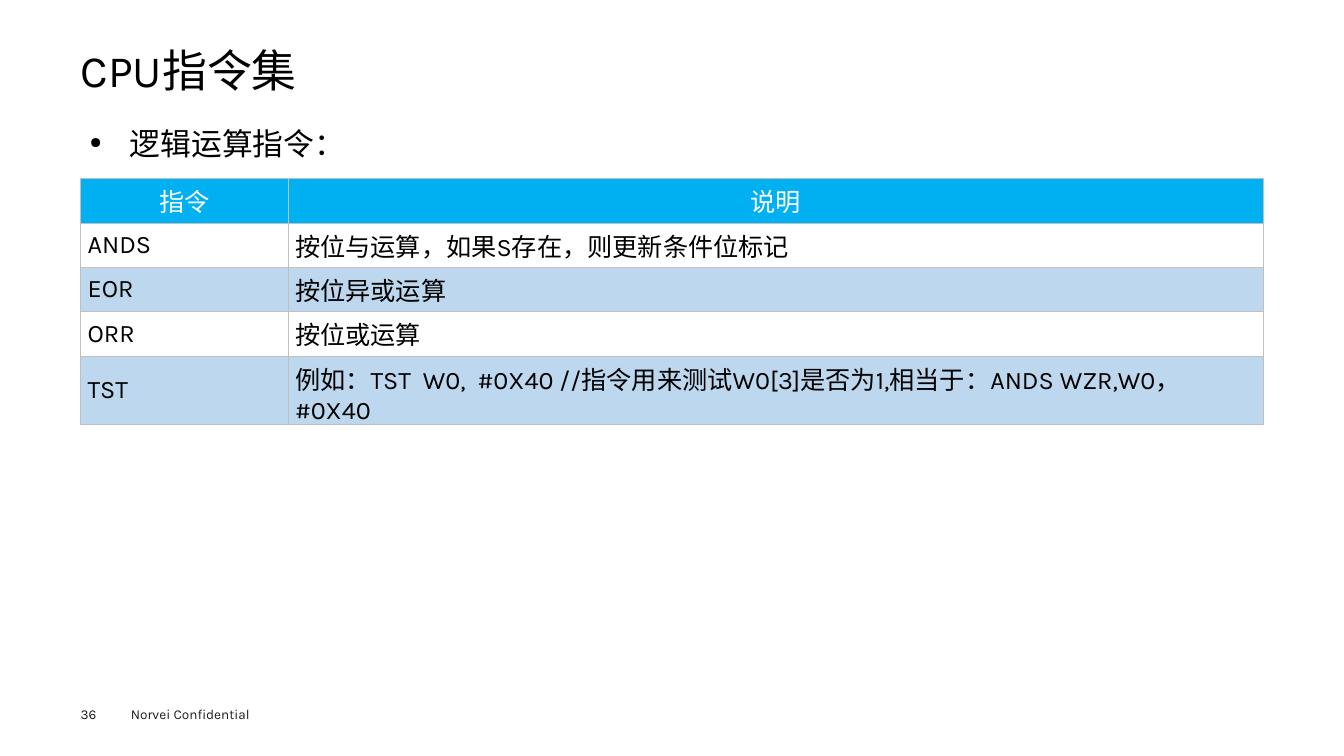
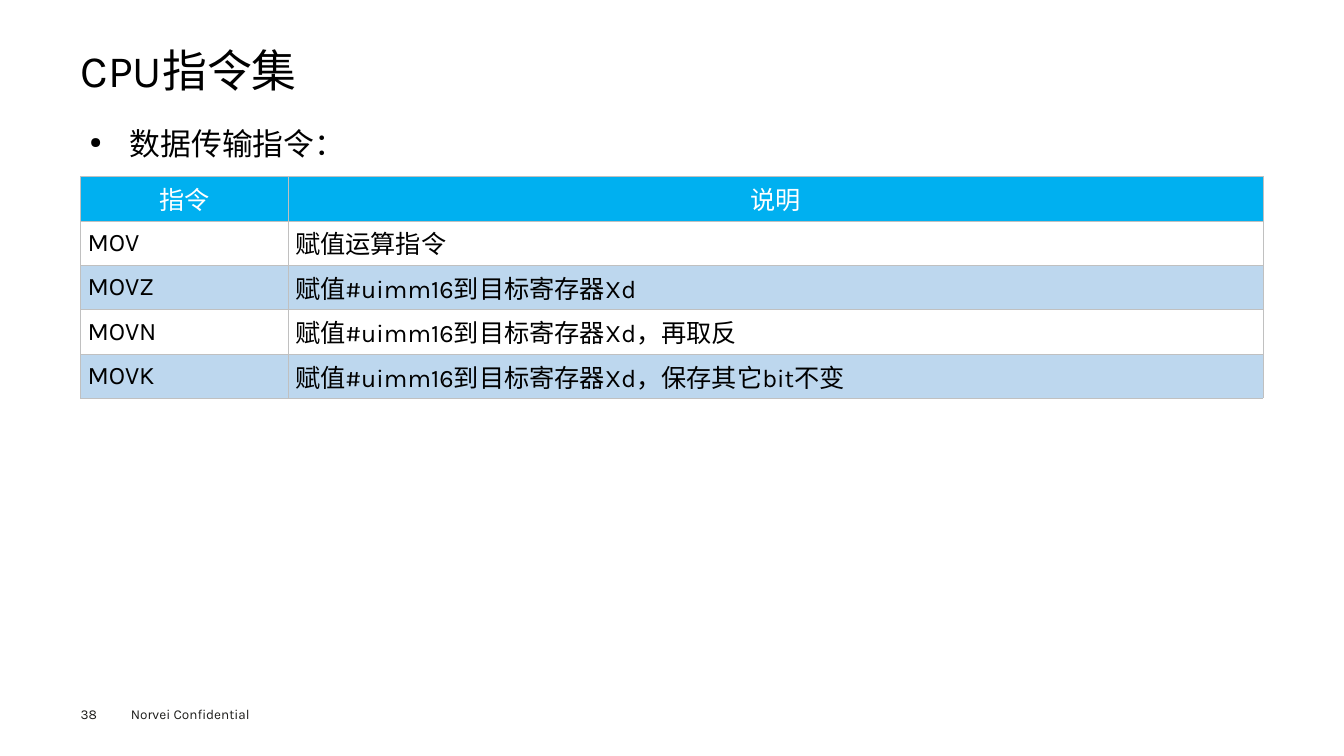
from dataclasses import dataclass

from lxml import etree
from pptx import Presentation
from pptx import util as u
from pptx.dml.color import RGBColor
from pptx.enum import text
from pptx.oxml import ns


@dataclass(frozen=True)
class Theme:
    font: str = "Karla"
    ink: str = "000000"
    footer_ink: str = "1D1D1B"
    white: str = "FFFFFF"
    header: str = "00B0F0"
    band: str = "BDD7EE"
    border: str = "C0C0C0"
    border_width: float = 0.38
    title_size: float = 32
    body_size: float = 22
    table_size: float = 18
    footer_size: float = 9.7


THEME = Theme()
MARGIN, CONTENT = 6, 88  # percent of the slide's width
NAME_COLUMN = 15.43
ROW_HEIGHT = 5.87  # percent of the slide's height
CELL_INSETS = (0.07, 0.04, 0.07, 0.04)


def add_child(parent, tag, **attributes):
    return etree.SubElement(parent, ns.qn(tag), attributes)


def add_bullet(paragraph, indent):
    properties = paragraph._p.get_or_add_pPr()
    properties.set("marL", str(u.Inches(indent)))
    properties.set("indent", str(-u.Inches(indent)))
    add_child(properties, "a:buSzPct", val="50000")
    add_child(properties, "a:buChar", char="●")


def write(frame, content, size, color=THEME.ink, align=None, spacing=None,
          indent=None, insets=None):
    """Put one formatted paragraph into a text frame."""
    if insets:
        (frame.margin_left, frame.margin_top, frame.margin_right,
         frame.margin_bottom) = (u.Inches(inset) for inset in insets)
    paragraph = frame.paragraphs[0]
    paragraph.alignment = align
    if spacing:
        paragraph.line_spacing = spacing
    if indent:
        add_bullet(paragraph, indent)
    run = paragraph.add_run()
    run.text = content
    run.font.name = THEME.font
    run.font.size = u.Pt(size)
    run.font.bold = False
    run.font.color.rgb = RGBColor.from_string(color)


def draw_borders(cell):
    properties = cell._tc.get_or_add_tcPr()
    for side in ("a:lnL", "a:lnR", "a:lnT", "a:lnB"):
        line = add_child(properties, side, w=str(u.Pt(THEME.border_width)))
        fill = add_child(line, "a:solidFill")
        add_child(fill, "a:srgbClr", val=THEME.border)


class Deck:
    """Holds the presentation and the slide being built; lengths are percents."""

    def __init__(self):
        self.presentation = Presentation()
        self.presentation.slide_width = u.Inches(13.33)
        self.presentation.slide_height = u.Inches(7.5)
        self.slide = None

    def across(self, percent):
        return round(self.presentation.slide_width * percent / 100)

    def down(self, percent):
        return round(self.presentation.slide_height * percent / 100)

    def area(self, left, top, width, height):
        return (self.across(left), self.down(top),
                self.across(width), self.down(height))

    def start_slide(self, number):
        blank = self.presentation.slide_layouts[6]
        self.slide = self.presentation.slides.add_slide(blank)
        self.footer(number)

    def text_box(self, area, content, size, wrap=True, **style):
        frame = self.slide.shapes.add_textbox(*self.area(*area)).text_frame
        frame.word_wrap = wrap
        write(frame, content, size, **style)

    def footer(self, number):
        style = {"size": THEME.footer_size, "color": THEME.footer_ink}
        self.text_box((9, 92.67, 12, 3.6), "Norvei Confidential",
                      wrap=False, **style)
        self.text_box((MARGIN, 93.33, 4.1, 2.1), str(number),
                      insets=(0, 0, 0, 0), **style)

    def title(self, content):
        self.text_box((MARGIN, 6.5, CONTENT, 7), content, THEME.title_size,
                      spacing=0.9, insets=(0, 0, 0, 0))

    def bullet(self, content):
        self.text_box((MARGIN, 15.33, CONTENT, 71.2), content, THEME.body_size,
                      align=text.PP_ALIGN.JUSTIFY, spacing=u.Pt(30),
                      indent=0.33, insets=(0.09, 0.04, 0.09, 0.04))

    def table(self, top, rows):
        area = self.area(MARGIN, top, CONTENT, ROW_HEIGHT * len(rows))
        table = self.slide.shapes.add_table(len(rows), 2, *area).table
        table.horz_banding = False
        for column, width in zip(table.columns,
                                 (NAME_COLUMN, CONTENT - NAME_COLUMN)):
            column.width = self.across(width)
        for index, row in enumerate(rows):
            for cell, content in zip(table.rows[index].cells, row):
                self.cell(cell, content, index)

    def cell(self, cell, content, row_index):
        is_header = row_index == 0
        band = THEME.white if row_index % 2 else THEME.band
        draw_borders(cell)
        cell.fill.solid()
        cell.fill.fore_color.rgb = RGBColor.from_string(
            THEME.header if is_header else band)
        cell.vertical_anchor = text.MSO_ANCHOR.MIDDLE
        (cell.margin_left, cell.margin_top, cell.margin_right,
         cell.margin_bottom) = (u.Inches(inset) for inset in CELL_INSETS)
        write(cell.text_frame, content, THEME.table_size,
              color=THEME.white if is_header else THEME.ink,
              align=text.PP_ALIGN.CENTER if is_header else None)


TABLE_HEADER = ("指令", "说明")
SLIDES = [
    (36, " 逻辑运算指令：", 23.6, [
        ("ANDS", "按位与运算，如果S存在，则更新条件位标记"),
        ("EOR", "按位异或运算"),
        ("ORR", "按位或运算"),
        ("TST", "例如：TST  W0,  #0X40 //指令用来测试W0[3]是否为1,"
                "相当于：ANDS WZR,W0，#0X40"),
    ]),
    (38, " 数据传输指令：", 23.33, [
        ("MOV", "赋值运算指令"),
        ("MOVZ", "赋值#uimm16到目标寄存器Xd"),
        ("MOVN", "赋值#uimm16到目标寄存器Xd，再取反"),
        ("MOVK", "赋值#uimm16到目标寄存器Xd，保存其它bit不变"),
    ]),
]


def main():
    deck = Deck()
    for number, topic, table_top, instructions in SLIDES:
        deck.start_slide(number)
        deck.title("CPU指令集")
        deck.bullet(topic)
        deck.table(table_top, [TABLE_HEADER, *instructions])
    deck.presentation.save("out.pptx")


if __name__ == "__main__":
    main()
